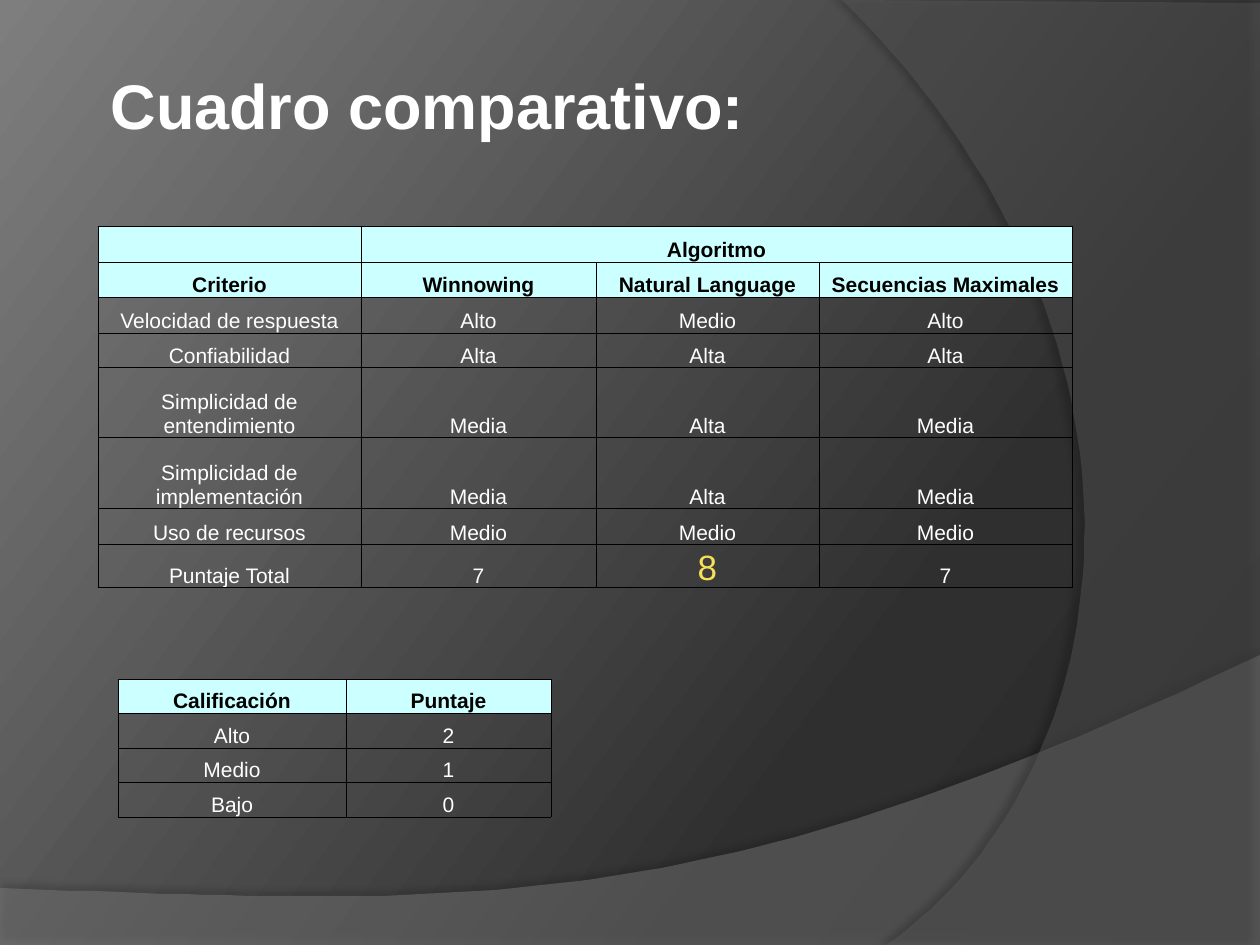
"""Build the slide that compares three algorithms and explains the scoring."""
from copy import deepcopy
from dataclasses import dataclass

from lxml.etree import SubElement
from pptx import Presentation
from pptx.dml.color import RGBColor
from pptx.enum.text import MSO_ANCHOR, PP_ALIGN
from pptx.oxml import parse_xml
from pptx.oxml.ns import nsdecls, qn
from pptx.util import Pt


@dataclass(frozen=True)
class Theme:
    font: str = "Arial"
    title_size: int = 36
    cell_size: int = 12
    winner_size: int = 20
    light: str = "FFFFFF"
    dark: str = "000000"
    header: str = "CCFFFF"
    winner: str = "F7DF56"
    backdrop: tuple = ((0, "282828"), (0.3, "2F2F2F"), (1, "7E7E7E"))
    backdrop_angle: int = 143
    lower_wave: str = "7F7F7F"
    right_wave: str = "5E5E5E"


theme = Theme()
PIXEL = 914400 / 126


def px(length):
    return round(length * PIXEL)


def add_text(para, text, size, color, bold):
    span = para.add_run()
    span.text = text
    span.font.name = theme.font
    span.font.size = Pt(size)
    span.font.bold = bold
    span.font.color.rgb = RGBColor.from_string(color)


deck = Presentation()
deck.slide_width, deck.slide_height = px(1260), px(945)
slide = deck.slides.add_slide(deck.slide_layouts[5])

backdrop = slide.background.fill
backdrop.gradient()
backdrop.gradient_angle = theme.backdrop_angle
stop_list = slide.background._cSld.find(".//" + qn("a:gsLst"))
stop_list.append(deepcopy(stop_list[-1]))
for stop, (position, color) in zip(backdrop.gradient_stops, theme.backdrop):
    stop.position = position
    stop.color.rgb = RGBColor.from_string(color)

waves = [
    ([(0, 888), (0, 945), (1260, 945)],
     [(1260, 655), (704, 919), (493, 906), (0, 888)],
     theme.lower_wave, 45, 35, 3.5, 270),
    ([(842, 0), (1260, 3), (1260, 945)],
     [(886, 945), (1123, 780), (1193, 347), (842, 0)],
     theme.right_wave, 40, 45, 4, 180),
]
STEPS = 60
for corners, curve, color, opacity, shadow_opacity, distance, angle in waves:
    points = list(corners)
    for step in range(STEPS + 1):
        t = step / STEPS
        weights = ((1 - t) ** 3, 3 * t * (1 - t) ** 2, 3 * t * t * (1 - t), t ** 3)
        points.append(tuple(sum(w * point[axis] for w, point in zip(weights, curve))
                            for axis in (0, 1)))
    builder = slide.shapes.build_freeform(*points[0], scale=PIXEL)
    builder.add_line_segments(points[1:], close=True)
    wave = builder.convert_to_shape()
    wave.line.fill.background()
    wave.fill.solid()
    wave.fill.fore_color.rgb = RGBColor.from_string(color)
    fill_color = wave._element.spPr.find(".//" + qn("a:srgbClr"))
    SubElement(fill_color, qn("a:alpha"), val=str(opacity * 1000))
    wave._element.spPr.append(parse_xml(
        f'<a:effectLst {nsdecls("a")}><a:outerShdw blurRad="{Pt(4)}" dist="{Pt(distance)}" '
        f'dir="{angle * 60000}" rotWithShape="0"><a:srgbClr val="{theme.dark}">'
        f'<a:alpha val="{shadow_opacity * 1000}"/></a:srgbClr></a:outerShdw></a:effectLst>'))

title = slide.shapes.title
slide.shapes._spTree.append(title._element)
title.left, title.top, title.width, title.height = px(98), px(59), px(916), px(90)
title.text_frame.vertical_anchor = MSO_ANCHOR.MIDDLE
heading = title.text_frame.paragraphs[0]
heading.alignment = PP_ALIGN.LEFT
add_text(heading, "Cuadro comparativo:", theme.title_size, theme.light, True)

comparison = [
    ("", "Algoritmo", "", ""),
    ("Criterio", "Winnowing", "Natural Language", "Secuencias Maximales"),
    ("Velocidad de respuesta", "Alto", "Medio", "Alto"),
    ("Confiabilidad", "Alta", "Alta", "Alta"),
    ("Simplicidad de entendimiento", "Media", "Alta", "Media"),
    ("Simplicidad de implementación", "Media", "Alta", "Media"),
    ("Uso de recursos", "Medio", "Medio", "Medio"),
    ("Puntaje Total", "7", "8", "7"),
]
scores = [("Calificación", "Puntaje"), ("Alto", "2"), ("Medio", "1"), ("Bajo", "0")]
tables = [
    (comparison, 2, 98, 226, (263, 235, 223, 253), (36, 35, 36, 35, 70, 71, 36, 43)),
    (scores, 1, 118, 679, (228, 205), (34, 35, 34, 35)),
]
for rows, header_rows, left, top, widths, heights in tables:
    table = slide.shapes.add_table(len(rows), len(widths), px(left), px(top),
                                   px(sum(widths)), px(sum(heights))).table
    table.first_row = table.horz_banding = False
    for column, width in zip(table.columns, widths):
        column.width = px(width)
    for row_index, (row, height) in enumerate(zip(rows, heights)):
        table.rows[row_index].height = px(height)
        is_header = row_index < header_rows
        for column_index, text in enumerate(row):
            cell = table.cell(row_index, column_index)
            cell.vertical_anchor = MSO_ANCHOR.BOTTOM
            cell.margin_left = cell.margin_right = cell.margin_top = px(1)
            cell.margin_bottom = 0
            for side in ("lnL", "lnR", "lnT", "lnB"):
                cell._tc.get_or_add_tcPr().append(parse_xml(
                    f'<a:{side} {nsdecls("a")} w="{Pt(0.5)}"><a:solidFill>'
                    f'<a:srgbClr val="{theme.dark}"/></a:solidFill></a:{side}>'))
            if is_header:
                cell.fill.solid()
                cell.fill.fore_color.rgb = RGBColor.from_string(theme.header)
            else:
                cell.fill.background()
            para = cell.text_frame.paragraphs[0]
            para.alignment = PP_ALIGN.CENTER
            if not text:
                para._p.get_or_add_endParaRPr().set("sz", str(theme.cell_size * 100))
            elif text == "8":
                add_text(para, text, theme.winner_size, theme.winner, False)
            else:
                color = theme.dark if is_header else theme.light
                add_text(para, text, theme.cell_size, color, is_header)
    if rows is comparison:
        table.cell(0, 1).merge(table.cell(0, 3))

deck.save("out.pptx")
